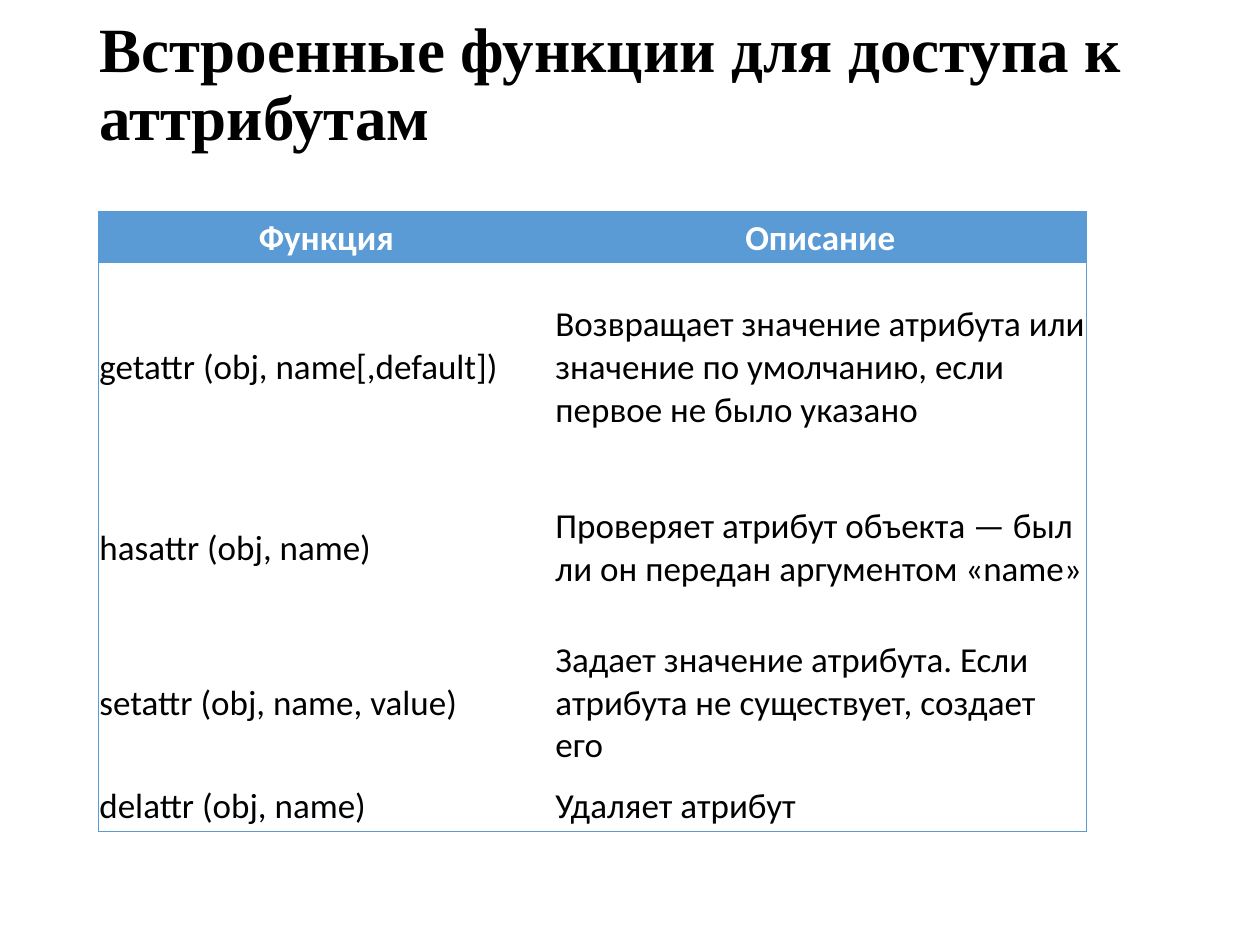
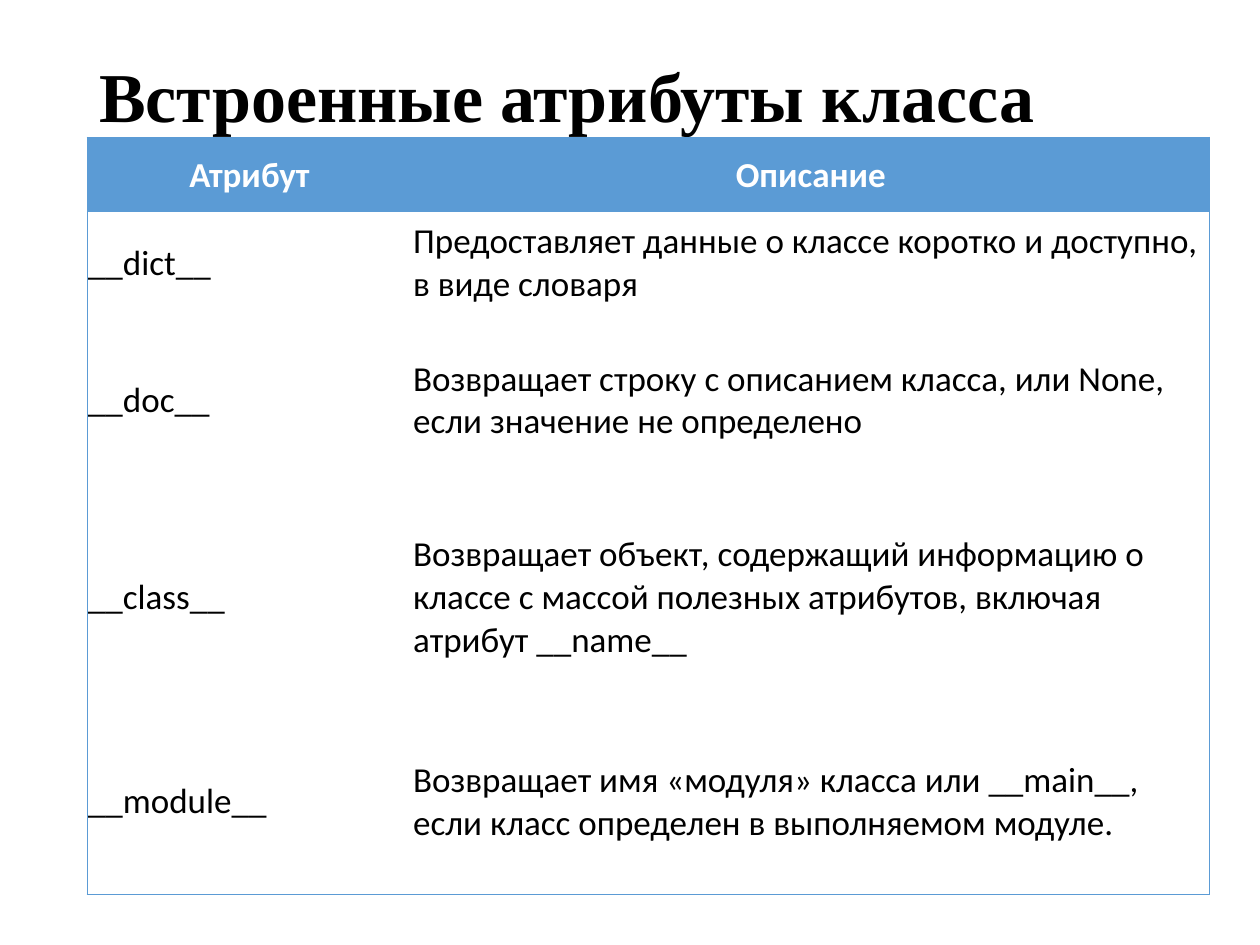
from pptx import Presentation
from pptx.dml.color import RGBColor
from pptx.enum.text import MSO_ANCHOR, PP_ALIGN
from pptx.oxml.ns import qn
from pptx.util import Pt
from lxml.etree import SubElement

BLUE = RGBColor(0x5B, 0x9B, 0xD5)
BLACK = RGBColor(0, 0, 0)
WHITE = RGBColor(0xFF, 0xFF, 0xFF)
HEAD_FONT = "Times New Roman"
BODY_FONT = "Calibri"
EDGES = ("lnL", "lnR", "lnT", "lnB")


class Deck:
    def __init__(self):
        self.file = Presentation()
        self.file.slide_width, self.file.slide_height = Pt(720), Pt(540)
        self.slide = None

    def page(self):
        self.slide = self.file.slides.add_slide(self.file.slide_layouts[6])

    def label(self, para, text, font, size, color, bold):
        run = para.add_run()
        run.text = text
        run.font.name, run.font.size = font, Pt(size)
        run.font.color.rgb, run.font.bold = color, bold

    def title(self, text, top, size):
        box = self.slide.shapes.add_textbox(Pt(49.7), Pt(top), Pt(620.6), Pt(56.2))
        frame = box.text_frame
        frame.word_wrap = True
        frame.vertical_anchor = MSO_ANCHOR.MIDDLE
        para = frame.paragraphs[0]
        para.line_spacing = 0.9
        self.label(para, text, HEAD_FONT, size, BLACK, True)

    def edge(self, cell, name, shown):
        props = cell._tc.get_or_add_tcPr()
        line = SubElement(props, qn("a:" + name), w=str(Pt(0.5)))
        if shown:
            fill = SubElement(line, qn("a:solidFill"))
            SubElement(fill, qn("a:srgbClr"), val=str(BLUE))
        else:
            SubElement(line, qn("a:noFill"))

    def cell(self, cell, text, head, outer):
        cell.margin_left = cell.margin_right = cell.margin_top = Pt(0.6)
        cell.margin_bottom = 0
        cell.vertical_anchor = MSO_ANCHOR.MIDDLE
        # Only the outer frame of the table is drawn
        for name, shown in zip(EDGES, outer):
            self.edge(cell, name, shown)
        cell.fill.solid()
        cell.fill.fore_color.rgb = BLUE if head else WHITE
        para = cell.text_frame.paragraphs[0]
        para.alignment = PP_ALIGN.CENTER if head else PP_ALIGN.LEFT
        self.label(para, text, BODY_FONT, 20, WHITE if head else BLACK, head)

    def table(self, left, top, widths, heights, rows):
        frame = self.slide.shapes.add_table(
            len(rows), len(widths), Pt(left), Pt(top),
            Pt(sum(widths)), Pt(sum(heights)))
        grid = frame.table
        grid.horz_banding = False
        for col, width in zip(grid.columns, widths):
            col.width = Pt(width)
        for row, height in zip(grid.rows, heights):
            row.height = Pt(height)
        for r, row in enumerate(rows):
            for c, text in enumerate(row):
                outer = (c == 0, c == len(widths) - 1, r == 0, r == len(rows) - 1)
                self.cell(grid.cell(r, c), text, r == 0, outer)


def main():
    deck = Deck()

    # Access functions
    deck.page()
    deck.title("Встроенные функции для доступа к аттрибутам", 20.9, 36)
    deck.table(56.2, 121, (260.6, 304), (29.5, 118.1, 88.6, 88.6, 29.5), (
        ("Функция", "Описание"),
        ("getattr (obj, name[,default])",
         "Возвращает значение атрибута или значение по умолчанию, "
         "если первое не было указано"),
        ("hasattr (obj, name)",
         "Проверяет атрибут объекта — был ли он передан аргументом «name»"),
        ("setattr (obj, name, value)",
         "Задает значение атрибута. Если атрибута не существует, создает его"),
        ("delattr (obj, name)", "Удаляет атрибут"),
    ))

    # Class attributes
    deck.page()
    deck.title("Встроенные атрибуты класса", 28.8, 40)
    deck.table(49.7, 78.5, (185.8, 455.8), (42.5, 58.3, 98.6, 126.7, 106.6), (
        ("Атрибут", "Описание"),
        ("__dict__",
         "Предоставляет данные о классе коротко и доступно, в виде словаря"),
        ("__doc__",
         "Возвращает строку с описанием класса, или None, "
         "если значение не определено"),
        ("__class__",
         "Возвращает объект, содержащий информацию о классе с массой "
         "полезных атрибутов, включая атрибут __name__"),
        ("__module__",
         "Возвращает имя «модуля» класса или __main__, "
         "если класс определен в выполняемом модуле."),
    ))

    deck.file.save("out.pptx")


if __name__ == "__main__":
    main()
